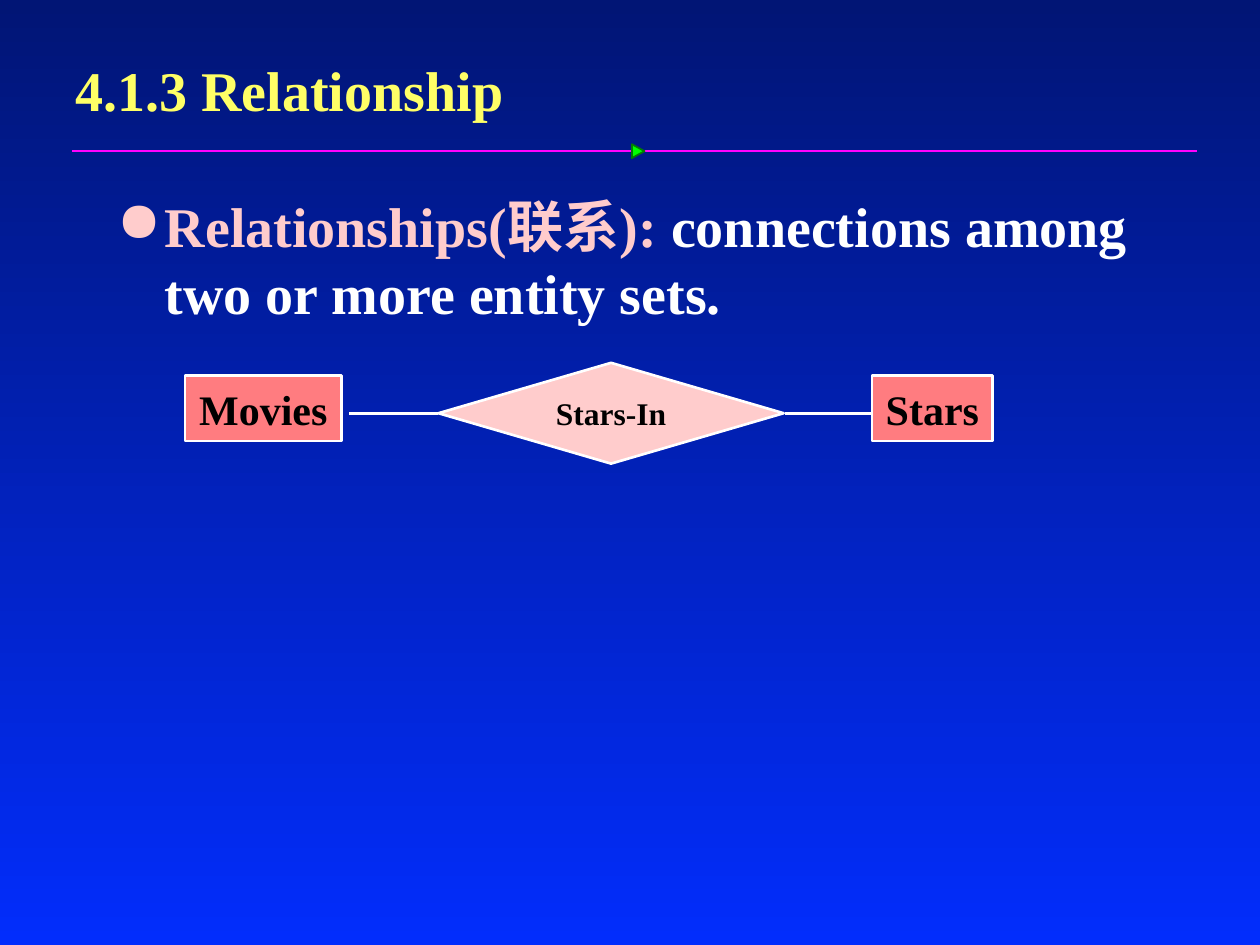
from dataclasses import dataclass

from lxml import etree
from pptx import Presentation
from pptx.dml.color import RGBColor
from pptx.enum import shapes, text
from pptx.oxml import ns
from pptx.util import Inches, Pt


@dataclass(frozen=True)
class Theme:
    font: str = "Times New Roman"
    bg_top: str = "011575"
    bg_bottom: str = "022DFC"
    title: str = "FFFF66"
    rule: str = "FF01FF"
    marker: str = "00FF00"
    marker_edge: str = "037C03"
    pink: str = "FFCCCC"
    entity: str = "FF7C80"
    white: str = "FFFFFF"
    black: str = "000000"
    heading_size: int = 32
    entity_size: int = 24
    relation_size: int = 18


T = Theme()
rgb = RGBColor.from_string


def write(sp, *runs, size, align=text.PP_ALIGN.LEFT, anchor=text.MSO_ANCHOR.MIDDLE,
          wrap=True, before=0, bullet=None, indent=0):
    """Fill sp with one paragraph of (text, colour) runs; before is a percentage."""
    tf = sp.text_frame
    tf.word_wrap, tf.vertical_anchor = wrap, anchor
    p = tf.paragraphs[0]
    p.alignment = align
    pPr = p._p.get_or_add_pPr()
    if before:
        spacing = etree.SubElement(pPr, ns.qn("a:spcBef"))
        etree.SubElement(spacing, ns.qn("a:spcPct"), val=str(before * 1000))
    if bullet:
        pPr.set("marL", str(Inches(indent)))
        pPr.set("indent", str(-Inches(indent)))
        etree.SubElement(pPr, ns.qn("a:buChar"), char=bullet)
    for content, color in runs:
        r = p.add_run()
        r.text = content
        r.font.name, r.font.size, r.font.bold = T.font, Pt(size), True
        r.font.color.rgb = rgb(color)


def style(sp, line, width, fill=None):
    sp.line.color.rgb = rgb(line)
    sp.line.width = Pt(width)
    if fill:
        sp.fill.solid()
        sp.fill.fore_color.rgb = rgb(fill)
        sp.shadow.inherit = False
    else:
        etree.SubElement(sp._element.spPr, ns.qn("a:effectLst"))


prs = Presentation()
prs.slide_width, prs.slide_height = Inches(10), Inches(7.5)
s = prs.slides.add_slide(prs.slide_layouts[6])

bg = s.background.fill
bg.gradient()
bg.gradient_angle = 270
for stop, color in zip(bg.gradient_stops, (T.bg_top, T.bg_bottom)):
    stop.color.rgb = rgb(color)

# Heading with its rule and marker
title = s.shapes.add_textbox(Inches(0.5), Inches(0.33), Inches(7.58), Inches(0.75))
write(title, ("4.1.3 Relationship", T.title), size=T.heading_size)

rule = s.shapes.add_connector(shapes.MSO_CONNECTOR.STRAIGHT,
                              Inches(0.57), Inches(1.2), Inches(9.5), Inches(1.2))
style(rule, T.rule, 1)

marker = s.shapes.add_shape(shapes.MSO_SHAPE.ISOSCELES_TRIANGLE,
                            Inches(5.01), Inches(1.15), Inches(0.11), Inches(0.1))
marker.rotation = 90
style(marker, T.marker_edge, 1, T.marker)

# Definition
body = s.shapes.add_textbox(Inches(0.83), Inches(1.47), Inches(8.5), Inches(5.67))
write(body, ("Relationships(联系):", T.pink),
      (" connections among two or more entity sets.", T.white),
      size=T.heading_size, anchor=text.MSO_ANCHOR.TOP, before=40, bullet="●", indent=0.38)

# Entity-relationship diagram
RECT, DIAMOND = shapes.MSO_SHAPE.RECTANGLE, shapes.MSO_SHAPE.DIAMOND
for label, kind, left, top, width, height, fill, size in (
    ("Movies", RECT, 1.47, 2.98, 1.24, 0.52, T.entity, T.entity_size),
    ("Stars", RECT, 6.92, 2.98, 0.96, 0.52, T.entity, T.entity_size),
    ("Stars-In", DIAMOND, 3.48, 2.88, 2.74, 0.8, T.pink, T.relation_size),
):
    node = s.shapes.add_shape(kind, Inches(left), Inches(top), Inches(width), Inches(height))
    style(node, T.white, 1.5, fill)
    write(node, (label, T.black), size=size, align=text.PP_ALIGN.CENTER,
          wrap=kind == DIAMOND, before=50)

for start, end in ((3.48, 2.77), (6.93, 6.23)):
    link = s.shapes.add_connector(shapes.MSO_CONNECTOR.STRAIGHT,
                                  Inches(start), Inches(3.28), Inches(end), Inches(3.28))
    style(link, T.white, 2)

prs.save("out.pptx")
